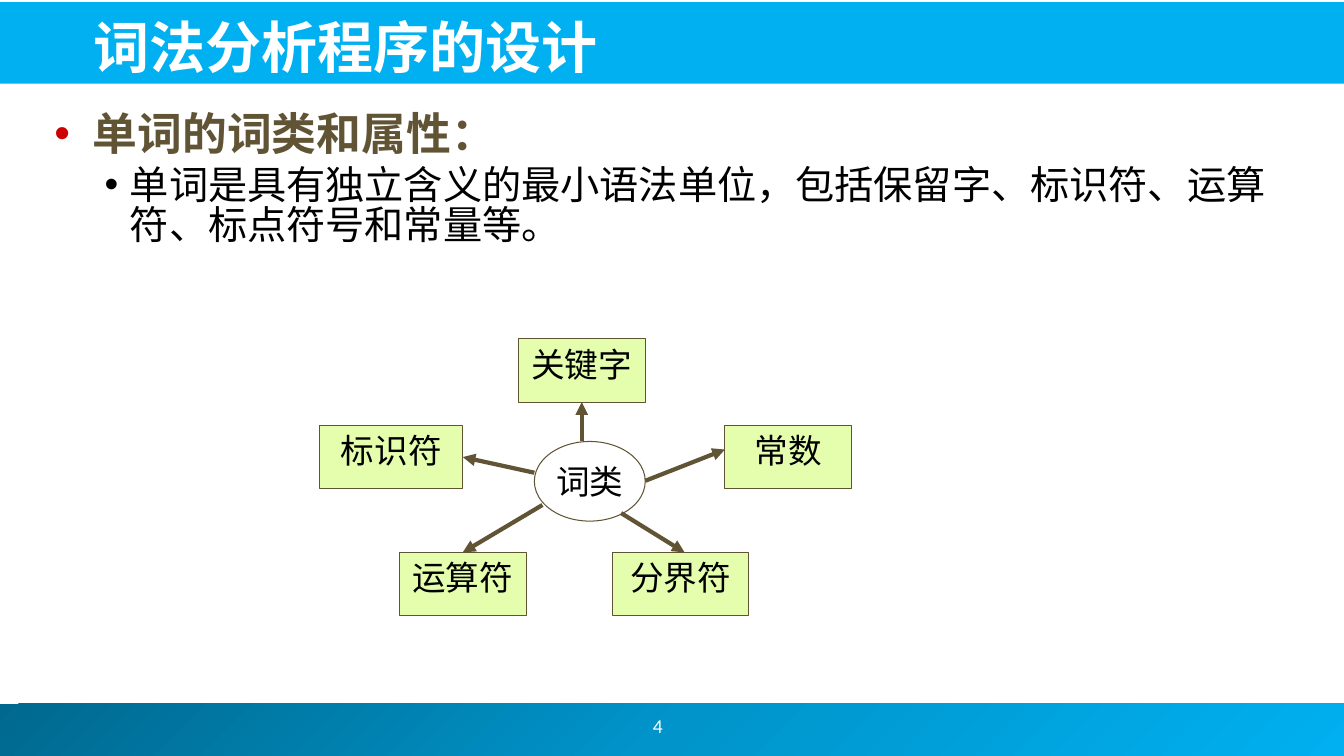
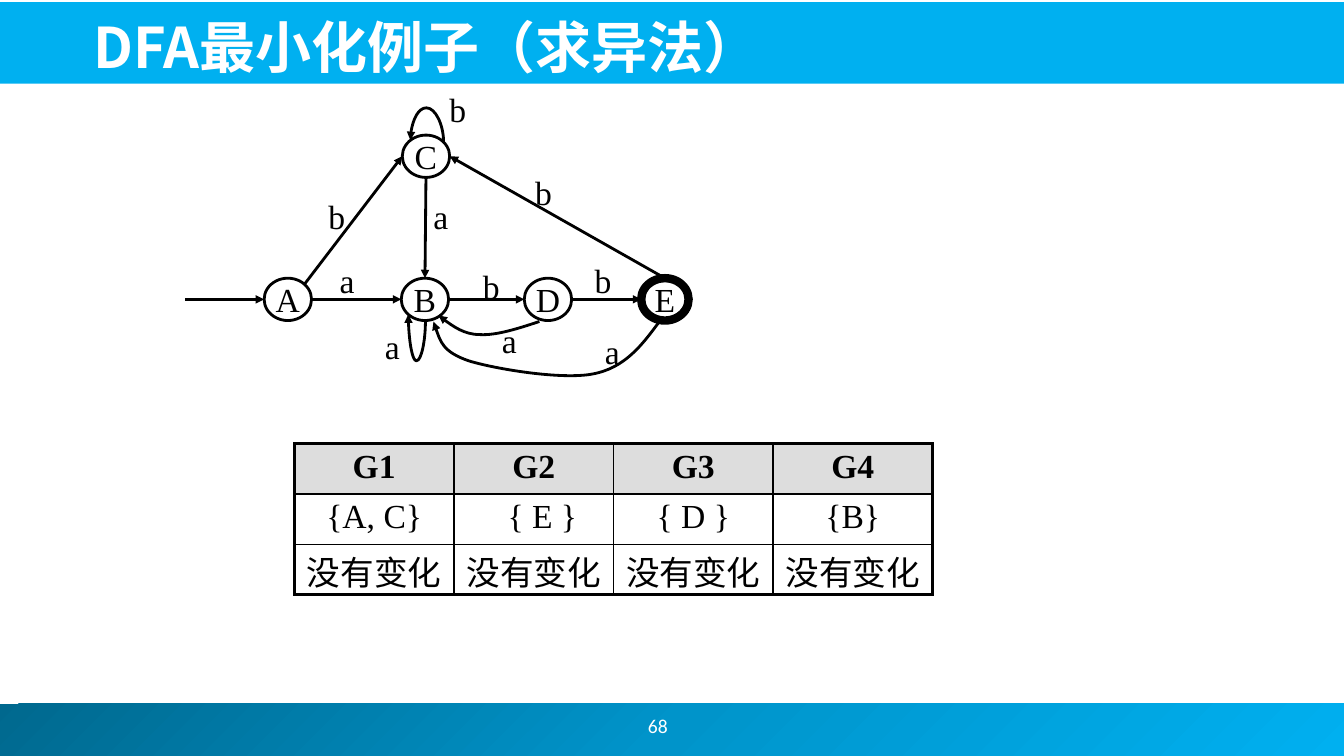
import copy
from typing import NamedTuple

import pptx
import pptx.util
import pptx.dml.color
import pptx.enum.dml
import pptx.enum.shapes
import pptx.enum.text
import pptx.oxml
import pptx.oxml.ns

Inches, Pt = pptx.util.Inches, pptx.util.Pt
qn = pptx.oxml.ns.qn
PRESET = pptx.enum.shapes.MSO_SHAPE
ALIGN = pptx.enum.text.PP_ALIGN
ANCHOR = pptx.enum.text.MSO_ANCHOR

COLORS = {
    "band": "00B0F0", "band_mid": "0094CA", "band_dark": "00688E",
    "white": "FFFFFF", "black": "000000", "brown": "605435",
    "lime": "E5FEAE", "grey": "DDDDDD", "red": "CC0000",
}
SERIF, TITLE_FONT, CJK = "Times New Roman", "Noto Sans CJK JP", "Noto Sans CJK SC"
Point = tuple[float, float]


class Box(NamedTuple):
    left: float
    top: float
    width: float
    height: float

    def emu(self) -> list[int]:
        return [Inches(v) for v in self]

    def at(self, across: float, down: float) -> Point:
        """Point at a fraction of the width and height."""
        return self.left + across * self.width, self.top + down * self.height


class Category(NamedTuple):
    label: str
    box: Box
    start: Point            # where its arrow leaves the ellipse
    side: int | None        # joined side, if the arrow meets its middle
    end: Point


class Label(NamedTuple):
    text: str
    left: float
    top: float


def color(key: str) -> pptx.dml.color.RGBColor:
    return pptx.dml.color.RGBColor.from_string(COLORS[key])


def a_element(xml: str):
    tag, rest = xml[1:].split(" ", 1)
    ns = pptx.oxml.ns.nsdecls("a")
    return pptx.oxml.parse_xml(f"<{tag} {ns} {rest}")


# Text
def write(frame, text: str, *, size: float, font: str = SERIF, ea: str = CJK,
          ink: str = "black", bold: bool = False, align=ALIGN.LEFT,
          anchor=ANCHOR.TOP, wrap: bool = True, added: bool = False,
          bullet: str = "", margin: float = 0, hang: float = 0,
          before: float = 0, spacing: float | None = None) -> None:
    frame.word_wrap = wrap
    frame.vertical_anchor = anchor
    paragraph = frame.add_paragraph() if added else frame.paragraphs[0]
    if bullet:
        props = paragraph._p.get_or_add_pPr()
        props.set("marL", str(Inches(margin)))
        props.set("indent", str(-Inches(hang)))
        props.append(a_element(f'<a:buClr ><a:srgbClr val="{COLORS[bullet]}"/></a:buClr>'))
        props.append(a_element('<a:buFont typeface="Arial"/>'))
        props.append(a_element('<a:buChar char="•"/>'))
    paragraph.alignment = align
    if before:
        paragraph.space_before = Pt(before)
    if spacing:
        paragraph.line_spacing = spacing
    run = paragraph.add_run()
    run.text = text
    run.font.size, run.font.bold, run.font.name = Pt(size), bold, font
    run.font.color.rgb = color(ink)
    run.font._element.find(qn("a:latin")).addnext(a_element(f'<a:ea typeface="{ea}"/>'))


def text_box(slide, box: Box, text: str, **style):
    frame = slide.shapes.add_textbox(*box.emu()).text_frame
    write(frame, text, **style)
    return frame


# Shapes and lines
def outline(shape, ink: str, width: float) -> None:
    shape.line.color.rgb = color(ink)
    shape.line.width = Pt(width)


def add_head(shape) -> None:
    shape.line._get_or_add_ln().append(a_element('<a:tailEnd type="triangle"/>'))


def figure(slide, preset, box: Box, fill: str = "", ink: str = "", width: float = 0.75):
    shape = slide.shapes.add_shape(preset, *box.emu())
    shape.shadow.inherit = False
    if fill:
        shape.fill.solid()
        shape.fill.fore_color.rgb = color(fill)
    else:
        shape.fill.background()
    if ink:
        outline(shape, ink, width)
    else:
        shape.line.fill.background()
    return shape


def arrow(slide, start: Point, end: Point, ink: str, width: float):
    line = slide.shapes.add_connector(pptx.enum.shapes.MSO_CONNECTOR.STRAIGHT,
                                      *[Inches(v) for v in (*start, *end)])
    outline(line, ink, width)
    add_head(line)
    line._element.spPr.append(a_element("<a:effectLst />"))
    return line


def curved_arrow(slide, points: list[Point]) -> None:
    """Cubic curve: a start, then two control points and an end per segment."""
    emu = [(Inches(x), Inches(y)) for x, y in points]
    builder = slide.shapes.build_freeform(*emu[0], scale=1.0)
    builder.add_line_segments(emu[1:], close=False)
    curve = builder.convert_to_shape()
    lines = list(curve._element.iter(qn("a:lnTo")))
    for first in range(0, len(lines), 3):
        bezier = a_element("<a:cubicBezTo />")
        lines[first].addprevious(bezier)
        for line in lines[first:first + 3]:
            bezier.append(line[0])
            line.getparent().remove(line)
    curve.shadow.inherit = False
    curve.fill.background()
    outline(curve, "black", 2)
    add_head(curve)


# Parts shared by the slides
def base_slide(deck, title: str, number: int):
    slide = deck.slides.add_slide(deck.slide_layouts[6])
    footer = figure(slide, PRESET.RECTANGLE, Box(-0.05, 6.98, 13.39, 0.52))
    footer.fill.gradient()
    footer.fill.gradient_angle = 315
    stops = footer._element.spPr.find(qn("a:gradFill")).find(qn("a:gsLst"))
    stops.insert(1, copy.deepcopy(stops[0]))
    for stop, key, place in zip(footer.fill.gradient_stops,
                                ("band_dark", "band_mid", "band"), (0, 0.5, 1)):
        stop.color.rgb = color(key)
        stop.position = place
    figure(slide, PRESET.RECTANGLE, Box(-0.02, 0.02, 13.36, 0.81), "band")
    text_box(slide, Box(5.08, 6.95, 2.89, 0.5), str(number), size=14, font="Calibri",
             ink="white", align=ALIGN.CENTER, anchor=ANCHOR.MIDDLE)
    text_box(slide, Box(0.83, 0.05, 12.06, 0.79), title, size=40, font=TITLE_FONT,
             ea=TITLE_FONT, ink="white", bold=True, anchor=ANCHOR.BOTTOM)
    return slide


def word_classes(deck) -> None:
    slide = base_slide(deck, "词法分析程序的设计", 4)
    body = text_box(slide, Box(0.44, 1.08, 12.44, 5.44), "单词的词类和属性：", size=32,
                    ink="brown", bold=True, bullet="red", margin=0.38, hang=0.38,
                    spacing=0.85)
    write(body, "单词是具有独立含义的最小语法单位，包括保留字、标识符、运算符、标点符号和常量等。",
          size=28, added=True, bullet="black", margin=0.75, hang=0.25, before=5.6,
          spacing=0.85)

    # Word class in the middle, its kinds around it
    categories = [
        Category("关键字", Box(5.14, 3.36, 1.26, 0.63), (5.77, 4.38), 2, (5.77, 3.99)),
        Category("标识符", Box(3.17, 4.22, 1.42, 0.63), (5.3, 4.69), 3, (4.59, 4.54)),
        Category("运算符", Box(3.96, 5.48, 1.26, 0.63), (5.38, 5.01), 0, (4.59, 5.48)),
        Category("分界符", Box(6.08, 5.48, 1.34, 0.63), (6.16, 5.09), None, (6.79, 5.48)),
        Category("常数", Box(7.19, 4.22, 1.26, 0.63), (6.4, 4.77), None, (7.19, 4.46)),
    ]
    label_style = dict(size=24, font=CJK, align=ALIGN.CENTER)
    center = figure(slide, PRESET.OVAL, Box(5.3, 4.38, 1.1, 0.79), ink="brown")
    write(center.text_frame, "词类", anchor=ANCHOR.MIDDLE, wrap=False, **label_style)
    for category in categories:
        kind = figure(slide, PRESET.RECTANGLE, category.box, "lime", "brown")
        write(kind.text_frame, category.label, **label_style)
        link = arrow(slide, category.start, category.end, "brown", 3)
        if category.side is not None:
            link.end_connect(kind, category.side)


def group_table(slide) -> None:
    rows = [["G1", "G2", "G3", "G4"],
            ["{A, C}", "{ E }", "{ D }", "{B}"],
            ["没有变化"] * 4]
    last_row, last_col = len(rows) - 1, len(rows[0]) - 1
    table = slide.shapes.add_table(len(rows), len(rows[0]),
                                   *Box(2.92, 4.4, 6.33, 1.5).emu()).table
    table.first_row = table.horz_banding = False
    for r, row in enumerate(rows):
        for c, text in enumerate(row):
            cell = table.cell(r, c)
            cell.margin_top = Inches(0.02 if r == last_row else 0.05)
            cell.margin_bottom = 0
            if text == "{ E }":
                cell.margin_left = Inches(0.27)
            write(cell.text_frame, text, size=24, bold=r == 0, align=ALIGN.CENTER)
            if r == 0:
                cell.fill.solid()
                cell.fill.fore_color.rgb = color("grey")
            else:
                cell.fill.background()
            outer = {"L": c == 0, "R": c == last_col, "T": r == 0, "B": r == last_row}
            for place, (side, is_outer) in enumerate(outer.items()):
                cell._tc.get_or_add_tcPr().insert(place, a_element(
                    f'<a:ln{side} w="{Pt(2.25 if is_outer else 1)}"><a:solidFill>'
                    f'<a:srgbClr val="{COLORS["black"]}"/></a:solidFill></a:ln{side}>'))


def minimal_dfa(deck) -> None:
    slide = base_slide(deck, "DFA最小化例子（求异法）", 68)

    # States
    corners = {"A": (2.62, 2.76), "B": (3.98, 2.76), "D": (5.2, 2.76),
               "C": (3.99, 1.34), "E": (6.36, 2.76)}
    states = {name: Box(*corner, 0.47, 0.42) for name, corner in corners.items()}
    for name, box in states.items():
        state = figure(slide, PRESET.OVAL, box, ink="black", width=6 if name == "E" else 2)
        write(state.text_frame, name, size=24, align=ALIGN.CENTER,
              anchor=ANCHOR.MIDDLE, wrap=False)

    # Straight transitions
    left = {name: box.at(0, 0.5) for name, box in states.items()}
    right = {name: box.at(1, 0.5) for name, box in states.items()}
    top = {name: box.at(0.5, 0) for name, box in states.items()}
    for start, end in [((1.84, 2.97), left["A"]), (right["A"], left["B"]),
                       (right["B"], left["D"]), (right["D"], left["E"]),
                       ((3.02, 2.82), left["C"]), (states["C"].at(0.5, 1), top["B"]),
                       (top["E"], right["C"])]:
        arrow(slide, start, end, "black", 2)

    # Loops at B and C, then the curves from D and E back to B
    for curve in [
        [(4.22, 3.18), (4.22, 3.38), (4.18, 3.58), (4.13, 3.58),
         (4.09, 3.58), (4.05, 3.35), (4.05, 3.12)],
        [(4.4, 1.41), (4.4, 1.24), (4.32, 1.07), (4.23, 1.07),
         (4.15, 1.07), (4.07, 1.23), (4.07, 1.39)],
        [(5.35, 3.19), (5.14, 3.26), (4.92, 3.33), (4.76, 3.32),
         (4.6, 3.32), (4.38, 3.16), (4.35, 3.13)],
        [(6.54, 3.19), (6.37, 3.42), (6.2, 3.65), (5.88, 3.71),
         (5.57, 3.77), (4.91, 3.66), (4.65, 3.58),
         (4.39, 3.49), (4.35, 3.34), (4.3, 3.19)],
    ]:
        curved_arrow(slide, curve)

    # Input symbols
    for symbol in [Label("a", 3.27, 2.53), Label("a", 3.72, 3.18), Label("a", 4.2, 1.89),
                   Label("a", 5.9, 3.23), Label("a", 4.88, 3.12), Label("b", 3.16, 1.89),
                   Label("b", 4.69, 2.59), Label("b", 5.8, 2.53), Label("b", 4.36, 0.83),
                   Label("b", 5.21, 1.66)]:
        text_box(slide, Box(symbol.left, symbol.top, 0.36, 0.5), symbol.text,
                 size=24, wrap=False)
    group_table(slide)


def main() -> None:
    deck = pptx.Presentation()
    deck.slide_width, deck.slide_height = Inches(13.33), Inches(7.5)
    word_classes(deck)
    minimal_dfa(deck)
    deck.save("out.pptx")


if __name__ == "__main__":
    main()
